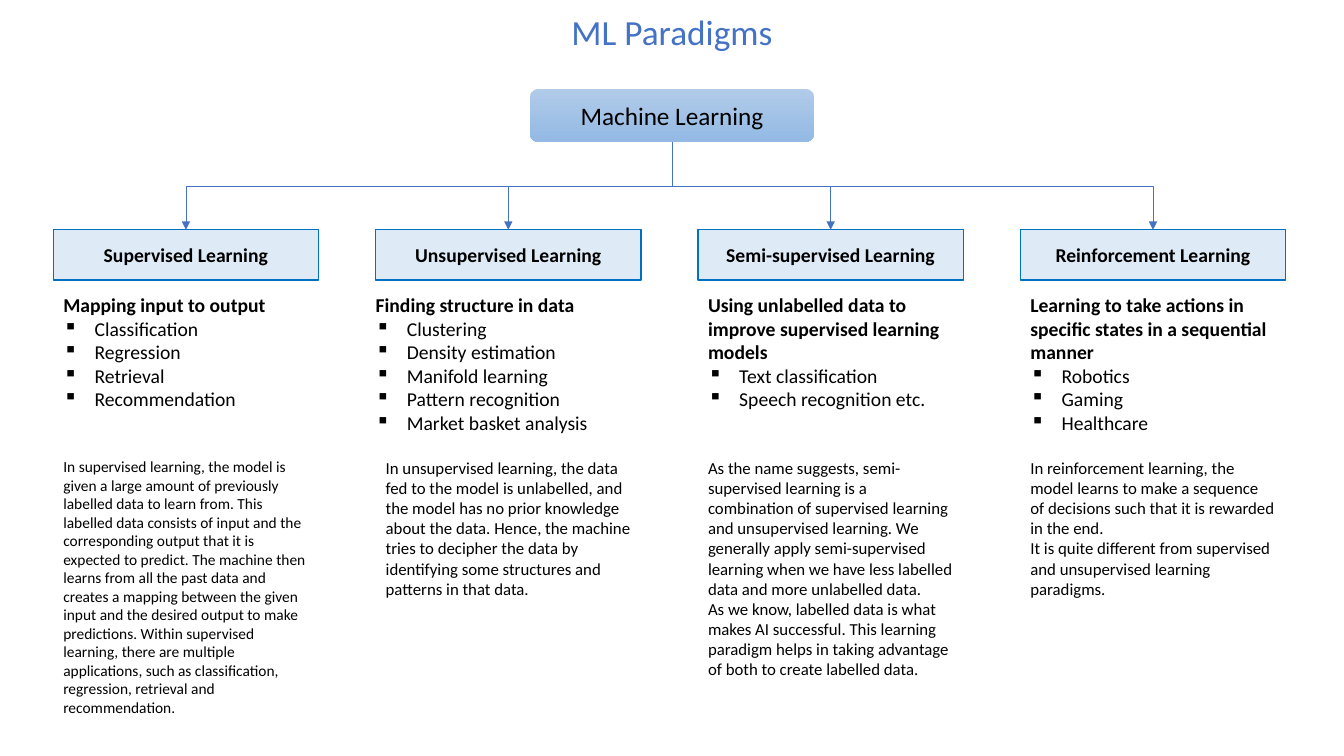
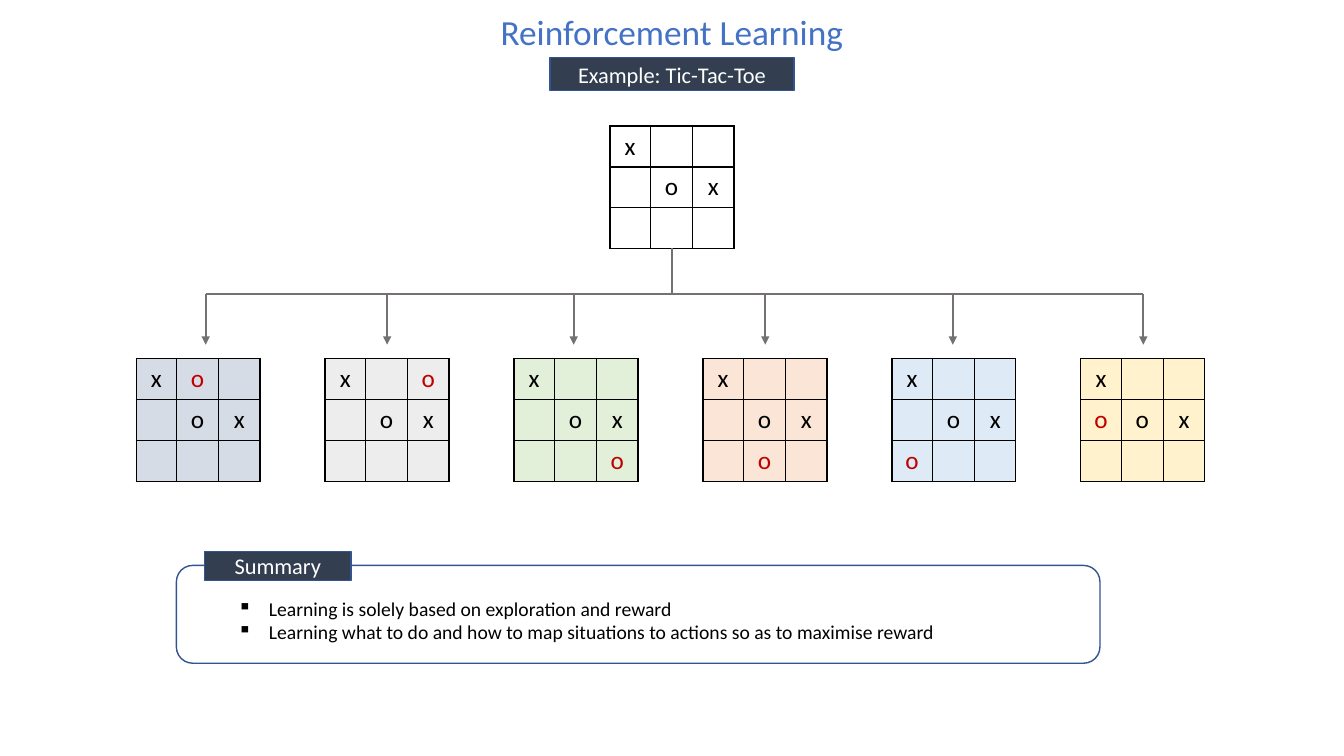
from lxml import etree
from pptx import Presentation
from pptx.dml.color import RGBColor
from pptx.enum.shapes import MSO_CONNECTOR, MSO_SHAPE
from pptx.enum.text import MSO_ANCHOR, PP_ALIGN
from pptx.oxml.ns import qn
from pptx.util import Inches, Pt

RECT, ROUNDED = MSO_SHAPE.RECTANGLE, MSO_SHAPE.ROUNDED_RECTANGLE
STRAIGHT, ELBOW = MSO_CONNECTOR.STRAIGHT, MSO_CONNECTOR.ELBOW
LEFT, CENTER = PP_ALIGN.LEFT, PP_ALIGN.CENTER
TOP, MIDDLE, BOTTOM = MSO_ANCHOR.TOP, MSO_ANCHOR.MIDDLE, MSO_ANCHOR.BOTTOM
TOP_SITE, BOTTOM_SITE = 0, 2

WIDTH, HEIGHT = 13.33, 7.5
MIDDLE_X = WIDTH / 2
FONT = "Calibri"
BLACK, WHITE, RED = "000000", "FFFFFF", "C00000"
BLUE, NAVY, NAVY_EDGE, GRAY = "4472C4", "333F50", "325491", "767171"
PALE_BLUE, BOX_EDGE = "DEEBF7", "0070C0"
ROOT_GRADIENT = ("B1CBE9", "93B9E4")

PARADIGMS = [
    {
        "name": "Supervised Learning",
        "goal": "Mapping input to output",
        "uses": ["Classification", "Regression", "Retrieval", "Recommendation"],
        "details": [
            "In supervised learning, the model is given a large amount of previously labelled data "
            "to learn from. This labelled data consists of input and the corresponding output that "
            "it is expected to predict. The machine then learns from all the past data and creates "
            "a mapping between the given input and the desired output to make predictions. Within "
            "supervised learning, there are multiple applications, such as classification, "
            "regression, retrieval and recommendation.",
        ],
        "size": 11,
        "shift": 0,
    },
    {
        "name": "Unsupervised Learning",
        "goal": "Finding structure in data",
        "uses": ["Clustering", "Density estimation", "Manifold learning", "Pattern recognition",
                 "Market basket analysis"],
        "details": [
            "In unsupervised learning, the data fed to the model is unlabelled, and the model has "
            "no prior knowledge about the data. Hence, the machine tries to decipher the data by "
            "identifying some structures and patterns in that data.",
        ],
        "size": 12,
        "shift": -0.1,
    },
    {
        "name": "Semi-supervised Learning",
        "goal": "Using unlabelled data to improve supervised learning models",
        "uses": ["Text classification", "Speech recognition etc."],
        "details": [
            "As the name suggests, semi-supervised learning is a combination of supervised learning "
            "and unsupervised learning. We generally apply semi-supervised learning when we have "
            "less labelled data and more unlabelled data.",
            "As we know, labelled data is what makes AI successful. This learning paradigm helps in "
            "taking advantage of both to create labelled data.",
        ],
        "size": 12,
        "shift": 0,
    },
    {
        "name": "Reinforcement Learning",
        "goal": "Learning to take actions in specific states in a sequential manner",
        "uses": ["Robotics", "Gaming", "Healthcare"],
        "details": [
            "In reinforcement learning, the model learns to make a sequence of decisions such that "
            "it is rewarded in the end.",
            "It is quite different from supervised and unsupervised learning paradigms.",
        ],
        "size": 12,
        "shift": 0,
    },
]

START = {(0, 0): "x", (1, 1): "o", (1, 2): "x"}
# Row and column of the next move, board colour, arrow position
MOVES = [
    ((0, 1), "D6DCE5", 2.04),
    ((0, 2), "EDEDED", 3.84),
    ((2, 2), "E2F0D9", 5.69),
    ((2, 1), "FBE5D6", 7.59),
    ((2, 0), PALE_BLUE, 9.45),
    ((1, 0), "FFF2CC", 11.34),
]
SUMMARY = [
    "Learning is solely based on exploration and reward",
    "Learning what to do and how to map situations to actions so as to maximise reward",
]

COLUMN_LEFT, COLUMN_PITCH, COLUMN_WIDTH = 0.53, 3.197, 2.63
BOARD_COLUMNS, BOARD_ROW = (0.4, 0.42, 0.41), 0.406
BOARD_LEFT, BOARD_PITCH = 1.35, 1.874


def color(value):
    return RGBColor.from_string(value)


def style(para, size, ink=BLACK, bold=False, align=LEFT):
    para.alignment = align
    for span in para.runs:
        span.font.name, span.font.size, span.font.bold = FONT, Pt(size), bold
        span.font.color.rgb = color(ink)


def add_bullet(para):
    properties = para._p.get_or_add_pPr()
    properties.set("marL", str(Inches(0.31)))
    properties.set("indent", str(-Inches(0.31)))
    etree.SubElement(properties, qn("a:buChar")).set("char", "▪")


def add_text(slide, area, lines, size, ink=BLACK, align=LEFT, anchor=TOP):
    box = slide.shapes.add_textbox(*map(Inches, area))
    frame = box.text_frame
    frame.word_wrap, frame.vertical_anchor = True, anchor
    frame.text = "\n".join(lines)
    for para in frame.paragraphs:
        style(para, size, ink, align=align)
    return frame.paragraphs


def add_title(slide, text):
    paras = add_text(slide, (MIDDLE_X - 5, 0.15, 10, 0.43), [text], 25.2, BLUE, CENTER, BOTTOM)
    paras[0].line_spacing = 0.9


def add_box(slide, area, text="", size=16, ink=BLACK, fill=None, edge=None, kind=RECT, bold=False):
    box = slide.shapes.add_shape(kind, *map(Inches, area))
    box.shadow.inherit = False
    if fill:
        box.fill.solid()
        box.fill.fore_color.rgb = color(fill)
    else:
        box.fill.background()
    if edge:
        box.line.color.rgb = color(edge)
        box.line.width = Pt(1)
    else:
        box.line.fill.background()
    if text:
        box.text_frame.text = text
        box.text_frame.vertical_anchor = MIDDLE
        style(box.text_frame.paragraphs[0], size, ink, bold, CENTER)
    return box


def add_line(slide, start, end, ink, weight, arrow=False, kind=STRAIGHT):
    line = slide.shapes.add_connector(kind, *map(Inches, start + end))
    line.line.color.rgb = color(ink)
    line.line.width = Pt(weight)
    properties = line._element.spPr
    if arrow:
        etree.SubElement(properties.find(qn("a:ln")), qn("a:tailEnd")).set("type", "triangle")
    etree.SubElement(properties, qn("a:effectLst"))
    if kind == ELBOW:
        # One corner only: across, then down
        properties.find(qn("a:prstGeom")).set("prst", "bentConnector2")
    return line


def add_borders(cell):
    properties = cell._tc.get_or_add_tcPr()
    for side in ("lnL", "lnR", "lnT", "lnB"):
        border = etree.SubElement(properties, qn("a:" + side))
        border.set("w", str(Pt(1)))
        fill = etree.SubElement(border, qn("a:solidFill"))
        etree.SubElement(fill, qn("a:srgbClr")).set("val", BLACK)


def add_board(slide, left, top, move=None, fill=None):
    """Draw a tic-tac-toe board with the start position and the next move in red."""
    marks = dict(START)
    if move:
        marks[move] = "o"
    area = (left, top, sum(BOARD_COLUMNS), 3 * BOARD_ROW)
    table = slide.shapes.add_table(3, 3, *map(Inches, area)).table
    table.first_row = table.horz_banding = False
    for column, width in zip(table.columns, BOARD_COLUMNS):
        column.width = Inches(width)
    for row in range(3):
        for column in range(3):
            cell = table.cell(row, column)
            add_borders(cell)
            if fill:
                cell.fill.solid()
                cell.fill.fore_color.rgb = color(fill)
            else:
                cell.fill.background()
            place = (row, column)
            cell.text = marks.get(place, "")
            style(cell.text_frame.paragraphs[0], 18, RED if place == move else BLACK, align=CENTER)


def build_paradigms(slide):
    add_title(slide, "ML Paradigms")
    root = add_box(slide, (MIDDLE_X - 1.41, 0.88, 2.82, 0.53), "Machine Learning", 18, kind=ROUNDED)
    root.fill.gradient()
    root.fill.gradient_angle = 270
    for stop, shade in zip(root.fill.gradient_stops, ROOT_GRADIENT):
        stop.color.rgb = color(shade)

    fork = (MIDDLE_X, 1.85)
    trunk = add_line(slide, (MIDDLE_X, 1.41), fork, BLUE, 0.5)
    trunk.begin_connect(root, BOTTOM_SITE)
    for index, paradigm in enumerate(PARADIGMS):
        left = COLUMN_LEFT + index * COLUMN_PITCH
        box = add_box(slide, (left, 2.28, COLUMN_WIDTH, 0.5), paradigm["name"], 14,
                      fill=PALE_BLUE, edge=BOX_EDGE, bold=True)
        branch = add_line(slide, fork, (left + COLUMN_WIDTH / 2, 2.28), BLUE, 0.5, True, ELBOW)
        branch.end_connect(box, TOP_SITE)
        goal, *uses = add_text(slide, (left + paradigm["shift"], 2.86, 2.56, 1.51),
                               [paradigm["goal"], *paradigm["uses"]], 14)
        style(goal, 14, bold=True)
        for use in uses:
            add_bullet(use)
        add_text(slide, (left, 4.49, COLUMN_WIDTH, 2.69), paradigm["details"], paradigm["size"])


def build_tic_tac_toe(slide):
    add_title(slide, "Reinforcement Learning")
    add_box(slide, (MIDDLE_X - 1.21, 0.57, 2.42, 0.33), "Example: Tic-Tac-Toe", ink=WHITE,
            fill=NAVY, edge=NAVY_EDGE)
    add_board(slide, MIDDLE_X - sum(BOARD_COLUMNS) / 2, 1.25)
    bus = 2.92
    add_line(slide, (MIDDLE_X, 2.46), (MIDDLE_X, bus), GRAY, 1.5)
    add_line(slide, (MOVES[0][2], bus), (MOVES[-1][2], bus), GRAY, 1.5)
    for index, (move, fill, arrow_x) in enumerate(MOVES):
        add_line(slide, (arrow_x, bus), (arrow_x, 3.42), GRAY, 1.5, True)
        add_board(slide, BOARD_LEFT + index * BOARD_PITCH, 3.56, move, fill)

    add_box(slide, (1.75, 5.61, 9.16, 0.97), edge=NAVY_EDGE, kind=ROUNDED)
    add_box(slide, (2.03, 5.47, 1.45, 0.29), "Summary", ink=WHITE, fill=NAVY, edge=NAVY_EDGE)
    for para in add_text(slide, (2.26, 5.87, 7.83, 0.57), SUMMARY, 14):
        add_bullet(para)


def main():
    deck = Presentation()
    deck.slide_width, deck.slide_height = Inches(WIDTH), Inches(HEIGHT)
    blank = deck.slide_layouts[6]
    for build in (build_paradigms, build_tic_tac_toe):
        build(deck.slides.add_slide(blank))
    deck.save("out.pptx")


if __name__ == "__main__":
    main()
